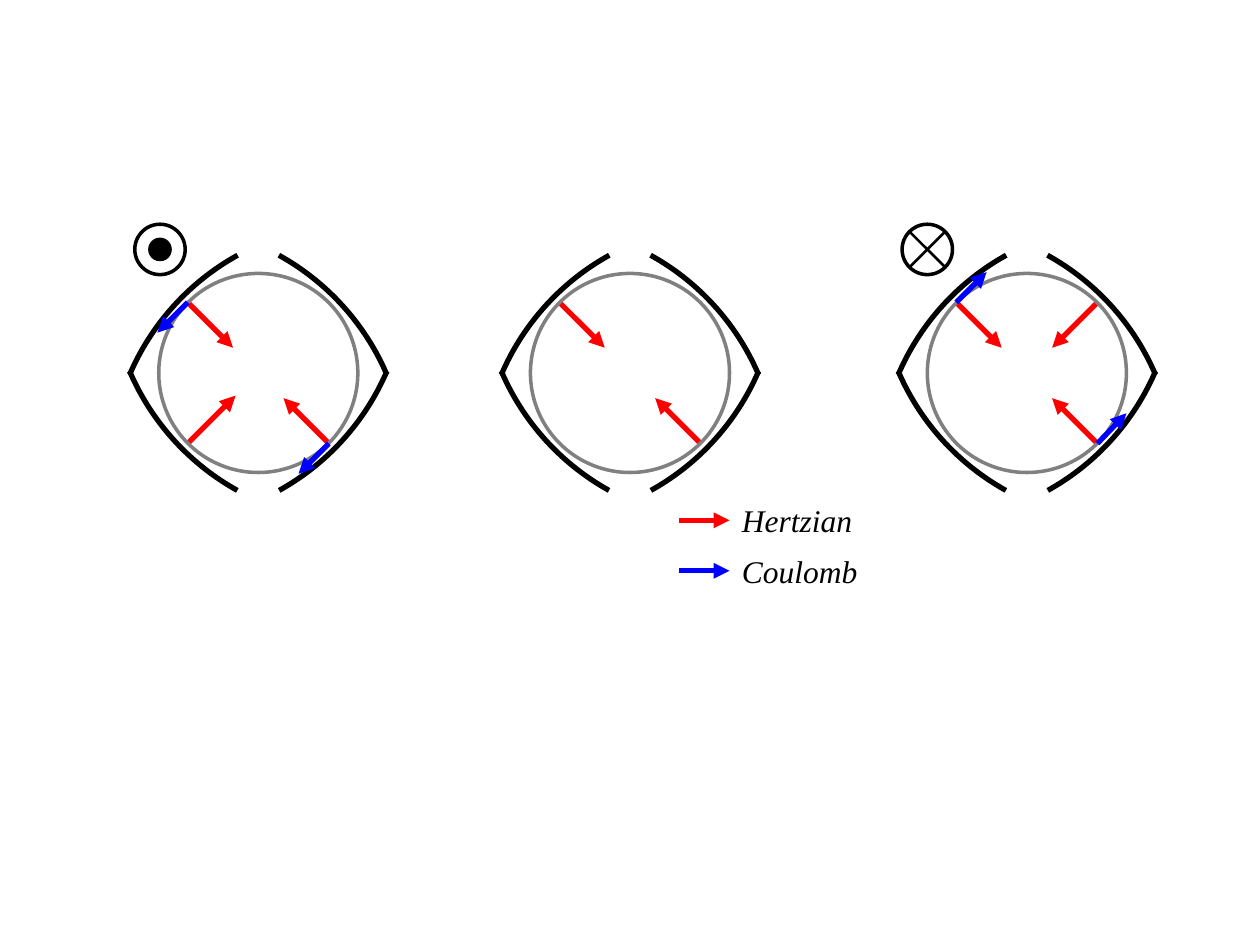
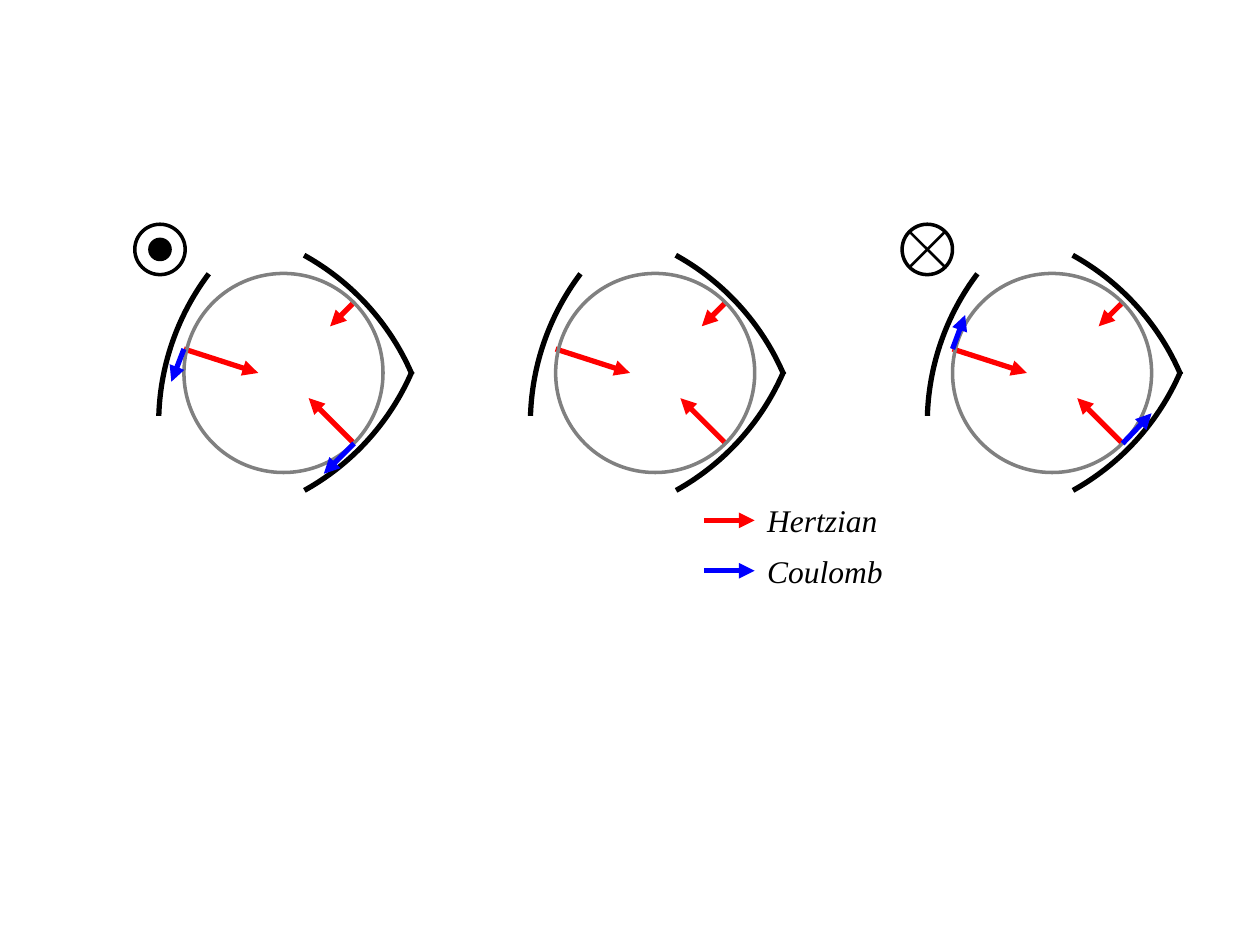
from lxml import etree
from pptx import Presentation
from pptx.dml.color import RGBColor
from pptx.enum import shapes, text
from pptx.oxml import ns
from pptx.util import Inches, Pt

COLORS = {"plate": "000000", "paper": "FFFFFF", "ring": "808080",
          "Hertzian": "FF0000", "Coulomb": "0000FF"}
FONT = "Times New Roman"
CENTER_Y = 2.96
RING_RADIUS = 0.79
PLATE_RADIUS = 1.97
SYMBOL_Y = 1.98


def add_outline(canvas, preset, x, y, radius, color, width, fill=None):
    outline = canvas.add_shape(preset, Inches(x - radius), Inches(y - radius),
                               Inches(2 * radius), Inches(2 * radius))
    outline.shadow.inherit = False
    outline.line.color.rgb = RGBColor.from_string(COLORS[color])
    outline.line.width = Pt(width)
    if fill:
        outline.fill.solid()
        outline.fill.fore_color.rgb = RGBColor.from_string(COLORS[fill])
    else:
        outline.fill.background()
    return outline


def add_stroke(canvas, x1, y1, x2, y2, color, width=3, arrow=True):
    stroke = canvas.add_connector(shapes.MSO_CONNECTOR.STRAIGHT, Inches(x1), Inches(y1),
                                  Inches(x2), Inches(y2))
    stroke.line.color.rgb = RGBColor.from_string(COLORS[color])
    stroke.line.width = Pt(width)
    if arrow:
        etree.SubElement(stroke.line._get_or_add_ln(), ns.qn("a:tailEnd"), type="triangle")
    etree.SubElement(stroke._element.spPr, ns.qn("a:effectLst"))


# Plates: arc centre relative to the ring, start and end angle, flips
right_plates = [(-0.79, 0.79, 298.96, 336.79, ""), (-0.79, -0.79, 299.03, 336.79, "V")]
left_plates = [(0.79, 0.79, 298.96, 336.79, "H"), (0.79, -0.79, 299.03, 336.79, "HV")]
side_plate = [(0.98, 0.40, 322.95, 358.27, "H")]

# Forces: start and end relative to the ring centre
upper_left = (-0.56, -0.56, -0.2, -0.2)
lower_right = (0.56, 0.56, 0.2, 0.2)
upper_right = (0.56, -0.56, 0.2, -0.2)
lower_left = (-0.56, 0.56, -0.18, 0.18)
short_upper_right = (0.55, -0.55, 0.37, -0.37)
side = (-0.79, -0.19, -0.2, 0)
lower_right_out = (0.56, 0.56, 0.32, 0.8)
lower_right_in = (0.56, 0.56, 0.79, 0.32)

four_plates = {
    "shift": 0,
    "plates": right_plates + left_plates,
    "Hertzian": [[upper_left, lower_right, lower_left],
                 [upper_left, lower_right],
                 [upper_left, lower_right, upper_right]],
    "Coulomb": [[(-0.56, -0.56, -0.8, -0.32), lower_right_out],
                [],
                [(-0.56, -0.56, -0.32, -0.8), lower_right_in]],
}
three_plates = {
    "shift": 0.2,
    "plates": right_plates + side_plate,
    "Hertzian": [[side, lower_right, short_upper_right]] * 3,
    "Coulomb": [[(-0.79, -0.19, -0.89, 0.07), lower_right_out],
                [],
                [(-0.79, -0.19, -0.69, -0.46), lower_right_in]],
}

deck = Presentation()
deck.slide_width, deck.slide_height = Inches(10), Inches(7.5)

for bearing in (four_plates, three_plates):
    slide = deck.slides.add_slide(deck.slide_layouts[6])

    for state, base_x in enumerate((2.05, 5, 8.15)):
        center_x = base_x + bearing["shift"]
        rotor = slide.shapes.add_group_shape().shapes
        for dx, dy, start, end, flips in bearing["plates"]:
            plate = add_outline(rotor, shapes.MSO_SHAPE.ARC, center_x + dx, CENTER_Y + dy,
                                PLATE_RADIUS, "plate", 3)
            plate.adjustments[0] = start * 0.6
            plate.adjustments[1] = end * 0.6
            for axis in flips:
                plate._element.spPr.xfrm.set("flip" + axis, "1")
        for force in ("Hertzian", "Coulomb"):
            for x1, y1, x2, y2 in bearing[force][state]:
                add_stroke(rotor, center_x + x1, CENTER_Y + y1,
                           center_x + x2, CENTER_Y + y2, force)
            if force == "Hertzian":
                add_outline(rotor, shapes.MSO_SHAPE.OVAL, center_x, CENTER_Y,
                            RING_RADIUS, "ring", 2)

    legend_x = 5.39 + bearing["shift"]
    for force, y, width in (("Hertzian", 4.13, 1.09), ("Coulomb", 4.53, 1.13)):
        add_stroke(slide.shapes, legend_x, y, legend_x + 0.4, y, force)
        label = slide.shapes.add_textbox(Inches(legend_x + 0.4), Inches(y - 0.2),
                                         Inches(width), Inches(0.4)).text_frame
        label.word_wrap = False
        label.auto_size = text.MSO_AUTO_SIZE.SHAPE_TO_FIT_TEXT
        label.text = force
        font = label.paragraphs[0].font
        font.name, font.size, font.italic = FONT, Pt(18), True
        font.color.rgb = RGBColor.from_string(COLORS["plate"])

    out_of_page = slide.shapes.add_group_shape().shapes
    add_outline(out_of_page, shapes.MSO_SHAPE.OVAL, 1.27, SYMBOL_Y, 0.2, "plate", 2, "paper")
    add_outline(out_of_page, shapes.MSO_SHAPE.OVAL, 1.27, SYMBOL_Y, 0.08, "plate", 2, "plate")

    into_page = slide.shapes.add_group_shape().shapes
    add_outline(into_page, shapes.MSO_SHAPE.OVAL, 7.36, SYMBOL_Y, 0.2, "plate", 2, "paper")
    for slope in (1, -1):
        add_stroke(into_page, 7.22, SYMBOL_Y - 0.14 * slope, 7.5, SYMBOL_Y + 0.14 * slope,
                   "plate", 1.5, arrow=False)

deck.save("out.pptx")
